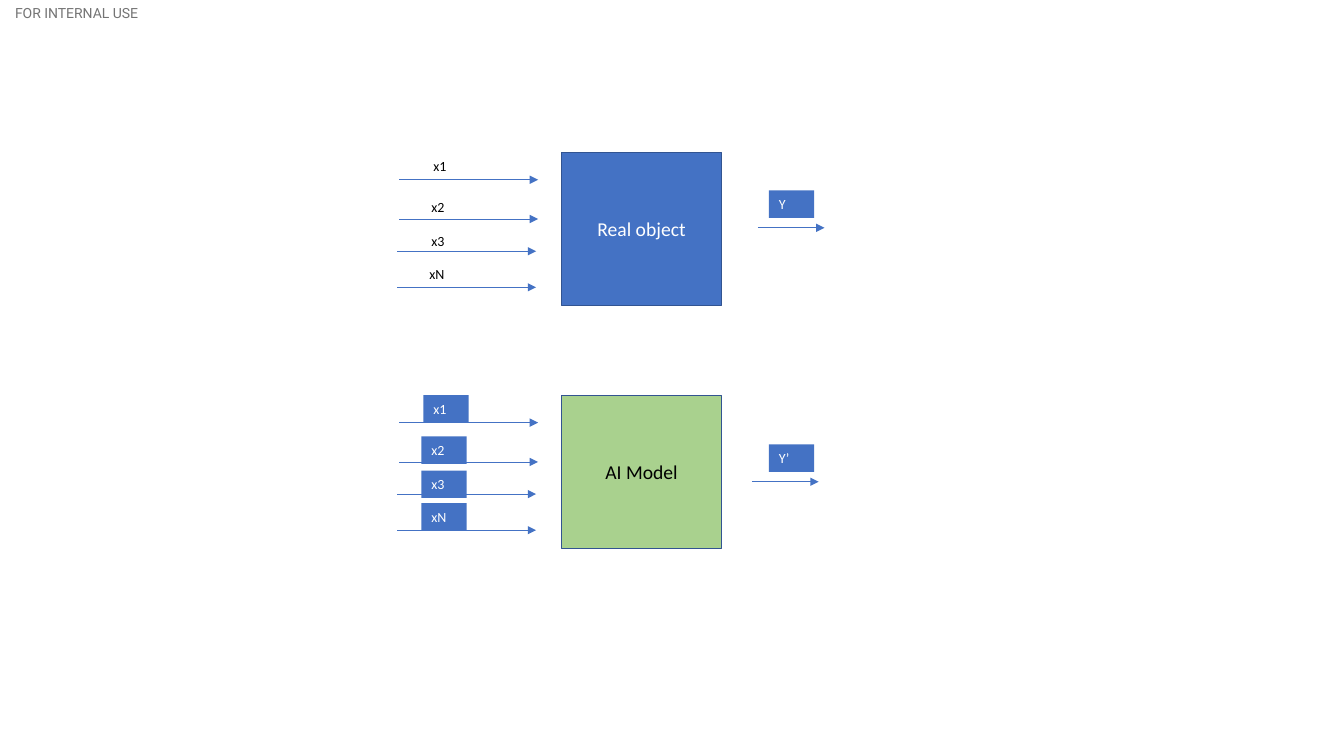
from pptx import Presentation
from pptx.dml.color import RGBColor
from pptx.enum.shapes import MSO_CONNECTOR, MSO_SHAPE
from pptx.enum.text import MSO_ANCHOR, MSO_AUTO_SIZE, PP_ALIGN
from pptx.oxml.ns import qn
from pptx.util import Cm, Pt
from lxml.etree import SubElement

BLUE = RGBColor(0x44, 0x72, 0xC4)
NAVY = RGBColor(0x32, 0x54, 0x91)
GREEN = RGBColor(0xA9, 0xD1, 0x8E)
GREY = RGBColor(0x74, 0x74, 0x74)
BLACK = RGBColor(0, 0, 0)
WHITE = RGBColor(0xFF, 0xFF, 0xFF)

# Inputs: name, label left, label drop, arrow left, arrow drop (cm)
INPUTS = [
    ("x1", 10.67, 0, 10.06, 0.69),
    ("x2", 10.62, 1.04, 10.06, 1.68),
    ("x3", 10.62, 1.9, 10.01, 2.49),
    ("xN", 10.62, 2.72, 10.01, 3.4),
]


def write(shape, text, size, color, align=PP_ALIGN.LEFT,
          anchor=MSO_ANCHOR.TOP, font="Calibri"):
    frame = shape.text_frame
    frame.text = text
    frame.word_wrap = True
    frame.vertical_anchor = anchor
    para = frame.paragraphs[0]
    para.alignment = align
    run = para.runs[0]
    run.font.name = font
    run.font.size = Pt(size)
    run.font.color.rgb = color


def add_rect(slide, left, top, width, height, fill):
    rect = slide.shapes.add_shape(
        MSO_SHAPE.RECTANGLE, Cm(left), Cm(top), Cm(width), Cm(height))
    rect.shadow.inherit = False
    rect.fill.solid()
    rect.fill.fore_color.rgb = fill
    rect.line.fill.background()
    return rect


def add_block(slide, top, text, fill, color):
    block = add_rect(slide, 14.15, top, 4.04, 3.86, fill)
    block.line.color.rgb = NAVY
    block.line.width = Pt(1)
    write(block, text, 14, color, PP_ALIGN.CENTER, MSO_ANCHOR.MIDDLE)


def add_label(slide, left, top, text, filled=True):
    width, height = 1.14, 0.69
    if filled:
        label = add_rect(slide, left, top, width, height, BLUE)
    else:
        label = slide.shapes.add_textbox(
            Cm(left), Cm(top), Cm(width), Cm(height))
    write(label, text, 10, WHITE if filled else BLACK)
    label.text_frame.auto_size = MSO_AUTO_SIZE.SHAPE_TO_FIT_TEXT


def add_arrow(slide, left, top, length):
    arrow = slide.shapes.add_connector(
        MSO_CONNECTOR.STRAIGHT, Cm(left), Cm(top), Cm(left + length), Cm(top))
    arrow.line.color.rgb = BLUE
    arrow.line.width = Pt(0.5)
    SubElement(arrow.line._get_or_add_ln(), qn("a:tailEnd"), type="triangle")
    SubElement(arrow._element.spPr, qn("a:effectLst"))


def add_inputs(slide, top, filled):
    for _, _, _, left, drop in INPUTS:
        add_arrow(slide, left, top + drop, 3.5)
    for name, left, drop, _, _ in INPUTS:
        # The plain xN label sits slightly further left
        shift = 0.05 if name == "xN" and not filled else 0
        add_label(slide, left - shift, top + drop, name, filled)


def add_output(slide, top, text, left):
    add_arrow(slide, left, top + 0.94, 1.68)
    add_label(slide, 19.38, top, text)


def add_mark(slide):
    mark = slide.shapes.add_textbox(0, 0, Cm(3.86), Cm(0.66))
    write(mark, "FOR INTERNAL USE", 10, GREY,
          anchor=MSO_ANCHOR.MIDDLE, font="Roboto")
    frame = mark.text_frame
    frame.word_wrap = False
    frame.margin_left = Cm(0.38)
    frame.margin_right = frame.margin_top = frame.margin_bottom = 0


def main():
    deck = Presentation()
    deck.slide_width, deck.slide_height = Cm(33.87), Cm(19.05)
    slide = deck.slides.add_slide(deck.slide_layouts[6])

    # Usage mark in the corner
    add_mark(slide)

    # Real object with its inputs and output
    add_block(slide, 3.84, "Real object", BLUE, WHITE)
    add_inputs(slide, 3.84, False)
    add_output(slide, 4.8, "Y", 19.1)

    # Model with the same inputs and its own output
    add_block(slide, 9.96, "AI Model", GREEN, BLACK)
    add_inputs(slide, 9.96, True)
    add_output(slide, 11.2, "Y’", 18.95)

    deck.save("out.pptx")


if __name__ == "__main__":
    main()
